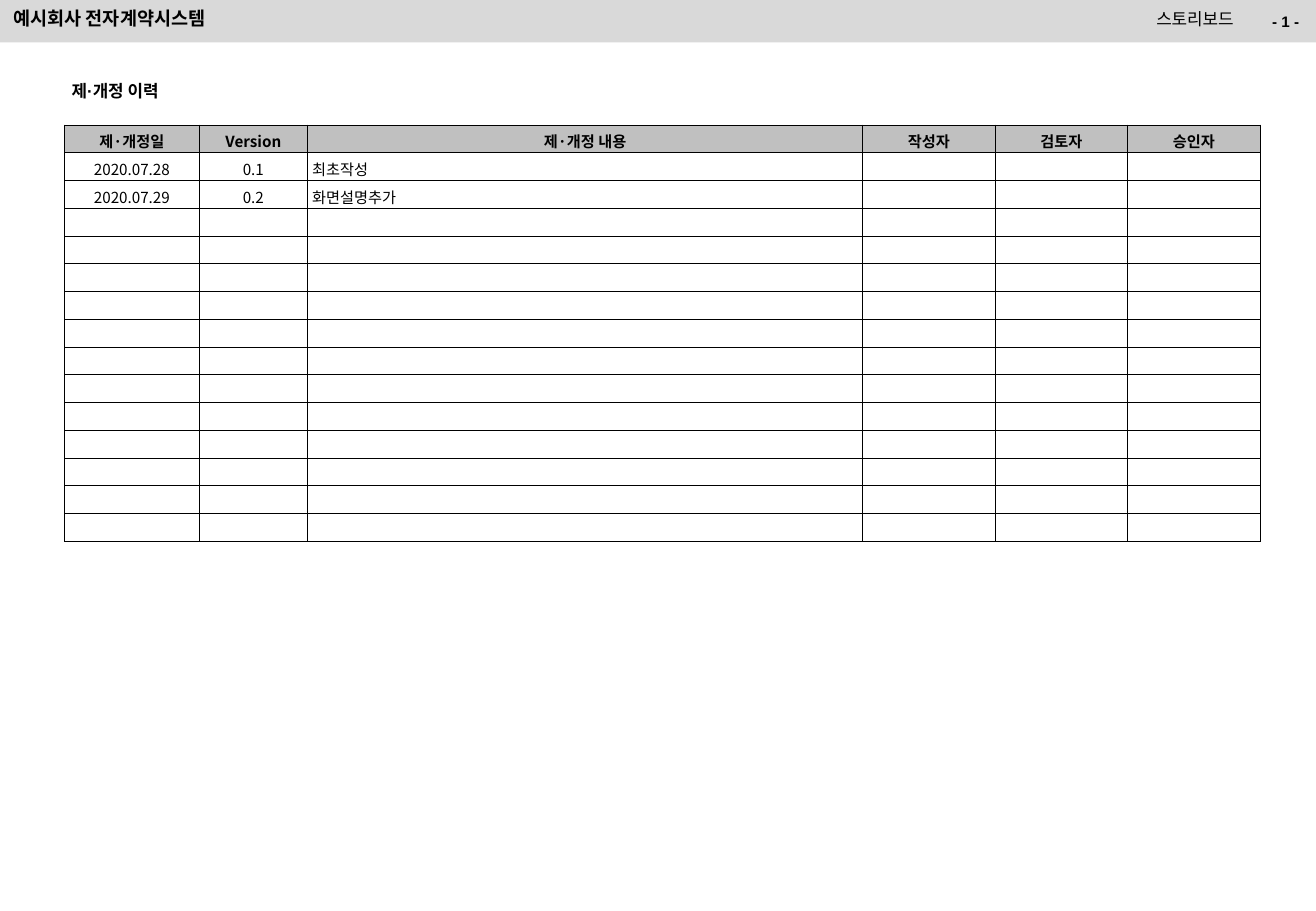
from lxml import etree
from pptx import Presentation
from pptx.dml.color import RGBColor
from pptx.enum.shapes import MSO_SHAPE
from pptx.enum.text import MSO_ANCHOR, PP_ALIGN as Align
from pptx.oxml.ns import qn
from pptx.util import Inches, Pt

BLACK = RGBColor(0, 0, 0)
BAR = RGBColor(0xD9, 0xD9, 0xD9)
HEAD = RGBColor(0xC0, 0xC0, 0xC0)
KOREAN = "Noto Sans CJK KR"
WIDTH, HEIGHT = 10.83, 7.5

COLS = [1.11, 0.89, 4.57, 1.09, 1.09, 1.09]
ROWS = 15
TABLE_TOP, TABLE_HIGH = 1.03, 3.43
HISTORY = [
    ["제·개정일", "Version", "제·개정 내용", "작성자", "검토자", "승인자"],
    ["2020.07.28", "0.1", "최초작성"],
    ["2020.07.29", "0.2", "화면설명추가"],
]


def place(shape, left, top, width, height):
    shape.left, shape.top = Inches(left), Inches(top)
    shape.width, shape.height = Inches(width), Inches(height)


def add_run(para, text, size, bold, face=KOREAN):
    run = para.add_run()
    run.text = text
    font = run.font
    font.size, font.bold, font.name = Pt(size), bold, face
    font.color.rgb = BLACK
    east = etree.SubElement(font._element, qn("a:ea"))
    east.set("typeface", KOREAN)


def write(shape, text, size, bold, align=Align.LEFT, face=KOREAN, inset=0.02, wrap=True):
    """Fill a text shape with one line set from its top edge."""
    frame = shape.text_frame
    frame.word_wrap = wrap
    frame.vertical_anchor = MSO_ANCHOR.TOP
    frame.margin_left = frame.margin_right = Inches(0.1)
    frame.margin_top, frame.margin_bottom = Inches(inset), Inches(0.05)
    para = frame.paragraphs[0]
    para.alignment = align
    para.line_spacing = 1.0
    para.space_before = Pt(0)
    add_run(para, text, size, bold, face)


def add_text(slide, box, *args, **style):
    shape = slide.shapes.add_textbox(0, 0, 0, 0)
    place(shape, *box)
    write(shape, *args, **style)


def add_bar(slide):
    bar = slide.shapes.add_shape(MSO_SHAPE.RECTANGLE, 0, 0, 0, 0)
    place(bar, 0, 0, WIDTH, 0.35)
    bar.shadow.inherit = False
    bar.fill.solid()
    bar.fill.fore_color.rgb = BAR
    bar.line.fill.background()


def set_edges(cell):
    props = cell._tc.get_or_add_tcPr()
    for spot, side in enumerate(("lnL", "lnR", "lnT", "lnB")):
        line = etree.Element(qn("a:" + side), w=str(Pt(0.5)))
        fill = etree.SubElement(line, qn("a:solidFill"))
        etree.SubElement(fill, qn("a:srgbClr"), val=str(BLACK))
        props.insert(spot, line)


def fill_cell(cell, text, head, align):
    cell.vertical_anchor = MSO_ANCHOR.MIDDLE
    cell.margin_left = cell.margin_right = cell.margin_top = Inches(0.04)
    cell.margin_bottom = 0
    if head:
        cell.fill.solid()
        cell.fill.fore_color.rgb = HEAD
    else:
        cell.fill.background()
    set_edges(cell)
    para = cell.text_frame.paragraphs[0]
    para.alignment = align
    if text:
        add_run(para, text, 9, head)
    else:
        etree.SubElement(para._p, qn("a:endParaRPr"), sz="900")


def add_history(slide):
    frame = slide.shapes.add_table(ROWS, len(COLS), 0, 0, 0, 0)
    place(frame, 0.53, TABLE_TOP, sum(COLS), TABLE_HIGH)
    table = frame.table
    table.first_row = table.horz_banding = False
    for col, width in zip(table.columns, COLS):
        col.width = Inches(width)
    for r, row in enumerate(table.rows):
        row.height = Inches(TABLE_HIGH / ROWS)
        words = HISTORY[r] if r < len(HISTORY) else []
        for c, cell in enumerate(row.cells):
            text = words[c] if c < len(words) else ""
            align = Align.LEFT if r and c == 2 else Align.CENTER
            fill_cell(cell, text, r == 0, align)


def main():
    deck = Presentation()
    deck.slide_width, deck.slide_height = Inches(WIDTH), Inches(HEIGHT)
    slide = deck.slides.add_slide(deck.slide_layouts[5])
    add_bar(slide)
    add_text(slide, (7.52, 0.05, 2.73, 0.29), "스토리보드", 10, False, Align.RIGHT)
    add_text(slide, (0.01, 0.04, 7.52, 0.29), "예시회사 전자계약시스템", 11, True)
    add_text(slide, (10.01, 0.05, 0.78, 0.25), "- 1 -", 9, True, Align.RIGHT,
             face="Arial", inset=0.05)
    add_history(slide)
    title = slide.shapes.title
    place(title, 0.49, 0.64, 0.99, 0.27)
    write(title, "제·개정 이력", 10, True, face="Arial", wrap=False)
    deck.save("out.pptx")


if __name__ == "__main__":
    main()
